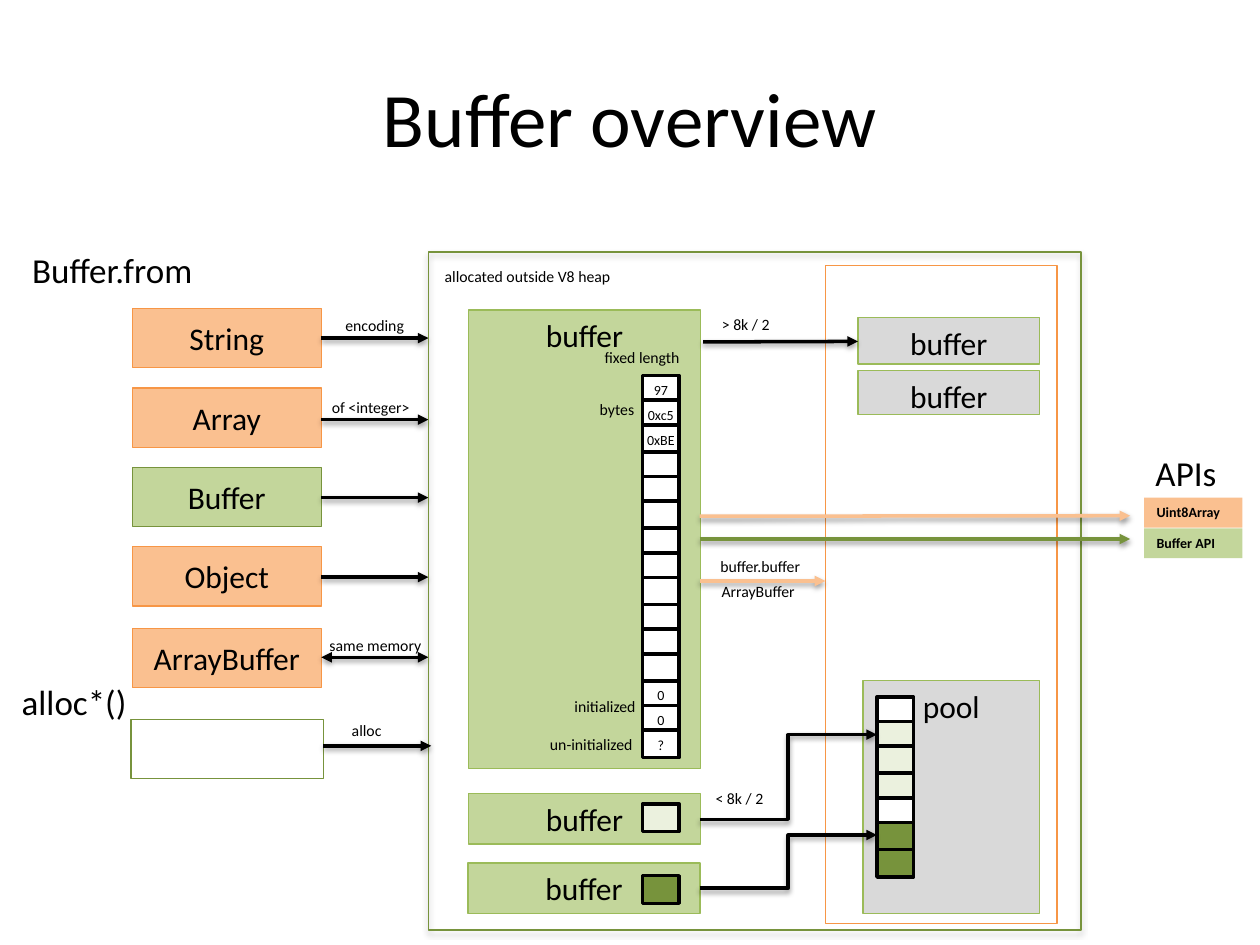
"""Build the Buffer overview slide."""
from lxml import etree
from pptx import Presentation
from pptx.dml.color import RGBColor
from pptx.enum.shapes import MSO_CONNECTOR, MSO_SHAPE
from pptx.enum.text import MSO_ANCHOR, PP_ALIGN
from pptx.oxml.ns import qn
from pptx.util import Pt

RECT = MSO_SHAPE.RECTANGLE
LINE, BENT = MSO_CONNECTOR.STRAIGHT, MSO_CONNECTOR.ELBOW
TOP, MID = MSO_ANCHOR.TOP, MSO_ANCHOR.MIDDLE
LEFT, MIDDLE = PP_ALIGN.LEFT, PP_ALIGN.CENTER

BLACK = RGBColor(0, 0, 0)
WHITE = RGBColor(255, 255, 255)
PEACH = RGBColor(0xFA, 0xC0, 0x90)
ORANGE = RGBColor(0xF7, 0x96, 0x46)
GREEN = RGBColor(0xC3, 0xD6, 0x9B)
LIME = RGBColor(0x9B, 0xBB, 0x59)
OLIVE = RGBColor(0x77, 0x93, 0x3C)
PALE = RGBColor(0xEB, 0xF1, 0xDE)
GREY = RGBColor(0xD9, 0xD9, 0xD9)
FONT = "Calibri"

INPUTS = [
    ("String", 176.4, 193.2, PEACH, ORANGE),
    ("Array", 221.8, 239.8, PEACH, ORANGE),
    ("Buffer", 267.1, 284.4, GREEN, OLIVE),
    ("Object", 312.5, 329.8, PEACH, ORANGE),
    ("ArrayBuffer", 359.3, 375.6, PEACH, ORANGE),
]
BUFFERS = [
    ("buffer", 267.8, 177.1, 132.5, 262.1, GREEN),
    ("buffer", 267.8, 453.6, 132.5, 28.8, GREEN),
    ("buffer", 267.5, 493.2, 132.5, 28.8, GREEN),
    ("pool", 493.2, 388.8, 100.8, 133.2, GREY),
    ("buffer", 490.3, 181.4, 103.7, 26.6, GREY),
    ("buffer", 490.3, 211.7, 103.7, 25.2, GREY),
]
BYTES = ["97", "0xc5", "0xBE"] + [""] * 9 + ["0", "0", "?"]
POOL = [WHITE, PALE, PALE, PALE, WHITE, OLIVE, OLIVE]
SLOTS = [(459.4, PALE), (500.4, OLIVE)]
FRAMES = [
    (244.8, 144, 373, 387.4, OLIVE),
    (471.6, 151.9, 132.5, 375.8, ORANGE),
    (74.9, 411.1, 110.2, 33.8, OLIVE),
]
LABELS = [
    ("Buffer.from", 11.3, 138.4, 20),
    ("alloc*()", 5.3, 385.5, 20),
    ("APIs", 653.2, 254.5, 20),
    ("encoding", 190.3, 176.7, 9),
    ("of <integer>", 182.5, 223.9, 9),
    ("same memory", 181.2, 359.5, 9),
    ("alloc", 193.9, 408.2, 9),
    ("fixed length", 338.4, 195.2, 9),
    ("bytes", 335.6, 224.6, 9),
    ("initialized", 321.2, 394.6, 9),
    ("un-initialized", 307.2, 416.5, 9),
    ("allocated outside V8 heap", 247, 149.1, 9),
    ("> 8k / 2", 405.4, 176.5, 9),
    ("< 8k / 2", 401.8, 447.2, 9),
    ("buffer.buffer", 404.5, 314.8, 9),
    ("ArrayBuffer", 405.2, 328.9, 9),
]
APIS = [("Uint8Array", 284.4, PEACH), ("Buffer API", 301.9, GREEN)]
ARROWS = [
    (LINE, 184.8, 426.2, 246.4, 426.2, BLACK),
    (LINE, 401.8, 195.4, 490.3, 195.1, BLACK),
    (BENT, 399.8, 468.2, 501.1, 419.8, BLACK),
    (BENT, 399.8, 507.6, 501.1, 477.2, BLACK),
    (LINE, 399.8, 332, 471.6, 332, PEACH),
    (LINE, 399.8, 295, 645.8, 294.7, PEACH),
    (LINE, 399.8, 308, 645.8, 308, OLIVE),
]

prs = Presentation()
prs.slide_width, prs.slide_height = Pt(720), Pt(540)
shapes = prs.slides.add_slide(prs.slide_layouts[6]).shapes


def write(shape, text, size, align=MIDDLE, anchor=TOP, bold=False, side=7.2):
    frame = shape.text_frame
    frame.word_wrap = True
    frame.vertical_anchor = anchor
    frame.margin_left = frame.margin_right = Pt(side)
    para = frame.paragraphs[0]
    para.text = text
    para.alignment = align
    font = para.font
    font.name, font.size, font.bold = FONT, Pt(size), bold
    font.color.rgb = BLACK


def shade(shape, blur, dist, alpha):
    props = shape.element.spPr
    list_ = props.find(qn("a:effectLst"))
    if list_ is None:
        list_ = etree.SubElement(props, qn("a:effectLst"))
    drop = etree.SubElement(
        list_, qn("a:outerShdw"), blurRad=str(Pt(blur)),
        dist=str(Pt(dist)), dir="5400000", rotWithShape="0")
    tint = etree.SubElement(drop, qn("a:srgbClr"), val=str(BLACK))
    etree.SubElement(tint, qn("a:alpha"), val=str(alpha * 1000))


def box(x, y, w, h, fill=None, edge=None, width=0.75):
    shape = shapes.add_shape(RECT, Pt(x), Pt(y), Pt(w), Pt(h))
    shape.shadow.inherit = False
    for part, tone in ((shape.fill, fill), (shape.line.fill, edge)):
        if tone is None:
            part.background()
        else:
            part.solid()
            part.fore_color.rgb = tone
    if edge is not None:
        shape.line.width = Pt(width)
    return shape


def cell(x, y, fill):
    return box(x, y, 20.9, 15.8, fill, BLACK, 2)


def stack(x, top, fills):
    return [cell(x, top + 43.6 * (i // 3) + 14.1 * (i % 3), fill)
            for i, fill in enumerate(fills)]


def arrow(kind, x1, y1, x2, y2, tone, both=False):
    link = shapes.add_connector(kind, Pt(x1), Pt(y1), Pt(x2), Pt(y2))
    link.line.color.rgb = tone
    link.line.width = Pt(2)
    edge = link.element.spPr.find(qn("a:ln"))
    for end in ("a:headEnd", "a:tailEnd") if both else ("a:tailEnd",):
        etree.SubElement(edge, qn(end), type="triangle")
    shade(link, 3.1, 1.6, 38)


title = shapes.add_textbox(Pt(36), Pt(21.6), Pt(648), Pt(90))
write(title, "Buffer overview", 44, anchor=MID)

for text, x, y, w, h, fill in BUFFERS:
    write(box(x, y, w, h, fill, LIME), text, 18)

for text, top, mid, fill, edge in INPUTS:
    write(box(75.6, top, 108, 33.8, fill, edge), text, 18, anchor=MID)
    arrow(LINE, 183.6, mid, 244.8, mid, BLACK, text == "ArrayBuffer")

for slot, text in zip(stack(367.2, 214.6, [WHITE] * len(BYTES)), BYTES):
    if text:
        write(slot, text, 8, side=0)
stack(501.1, 398.2, POOL)
for y, fill in SLOTS:
    cell(367.2, y, fill)

frames = [box(x, y, w, h, edge=edge) for x, y, w, h, edge in FRAMES]
shade(frames[0], 3.1, 1.8, 35)

for item in ARROWS:
    arrow(*item)

for text, y, fill in APIS:
    write(box(653.8, y, 56.2, 17.1, fill), text, 8, LEFT, bold=True)

for text, x, y, size in LABELS:
    label = shapes.add_textbox(Pt(x), Pt(y), Pt(120), Pt(size * 1.2 + 7.2))
    write(label, text, size, LEFT)

prs.save("out.pptx")
